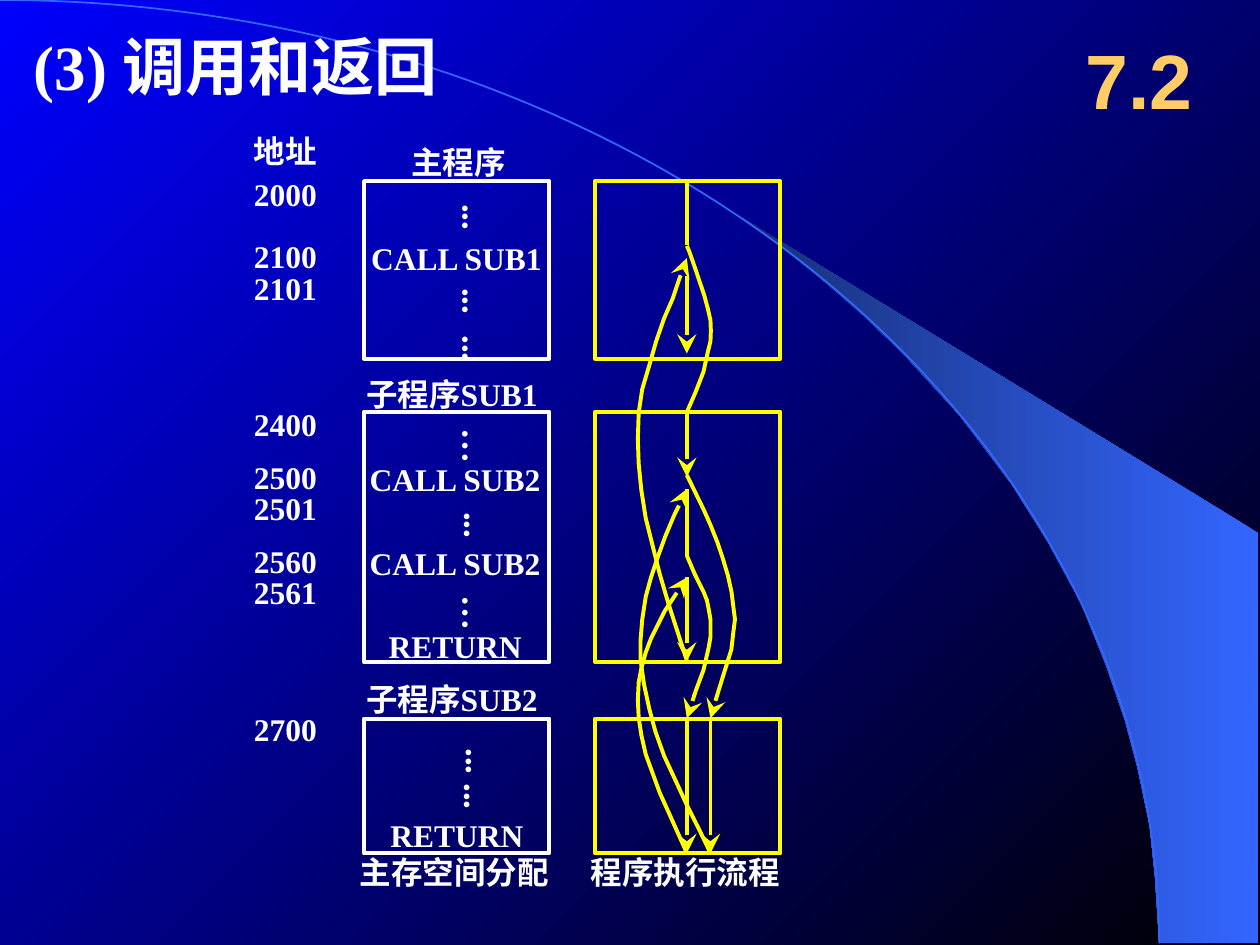
import pptx
import pptx.util
import pptx.dml.color
import pptx.enum.shapes
import pptx.enum.text
import pptx.oxml.ns
import lxml.etree

Pt = pptx.util.Pt
RGB = pptx.dml.color.RGBColor
KIND = pptx.enum.shapes.MSO_SHAPE
ALIGN = pptx.enum.text.PP_ALIGN
ANCHOR = pptx.enum.text.MSO_ANCHOR
FIT = pptx.enum.text.MSO_AUTO_SIZE
qn = pptx.oxml.ns.qn

WHITE = RGB(0xFF, 0xFF, 0xFF)
YELLOW = RGB(0xFF, 0xFF, 0x00)
GOLD = RGB(0xFF, 0xCC, 0x66)
BLACK = RGB(0x00, 0x00, 0x00)
BLUE = RGB(0x00, 0x00, 0xFF)
SKY = RGB(0x33, 0x66, 0xFF)
NAVY = RGB(0x17, 0x2F, 0x75)

deck = pptx.Presentation()
deck.slide_width, deck.slide_height = Pt(720), Pt(540)
slide = deck.slides.add_slide(deck.slide_layouts[5])
shapes = slide.shapes


def write(text, left, top, width, height, box=None, size=18, font="Times New Roman",
          color=WHITE, align=ALIGN.LEFT, anchor=ANCHOR.TOP, fit=FIT.SHAPE_TO_FIT_TEXT,
          wrap=False, upright=False):
    """Put one line of bold text in a new box, or in the box given."""
    box = box or shapes.add_textbox(0, 0, 0, 0)
    box.left, box.top, box.width, box.height = Pt(left), Pt(top), Pt(width), Pt(height)
    frame = box.text_frame
    frame.text = text
    frame.word_wrap, frame.auto_size, frame.vertical_anchor = wrap, fit, anchor
    if upright:
        frame.margin_left = frame.margin_right = Pt(3.6)
        frame.margin_top = frame.margin_bottom = Pt(7.2)
        frame._txBody.bodyPr.set("vert", "eaVert")
    line = frame.paragraphs[0]
    line.alignment = align
    style = line.runs[0].font
    style.size, style.name, style.bold = Pt(size), font, True
    style.color.rgb = color


def stroke(shape, color=YELLOW, width=2.25, arrow=False):
    """Give a shape or connector a plain line, with an arrowhead if asked."""
    shape.line.color.rgb = color
    shape.line.width = Pt(width)
    props = shape._element.spPr
    if hasattr(shape, "shadow"):
        shape.shadow.inherit = False
    else:
        lxml.etree.SubElement(props, qn("a:effectLst"))
    if hasattr(shape, "fill"):
        shape.fill.background()
    if arrow:
        lxml.etree.SubElement(props.find(qn("a:ln")), qn("a:tailEnd"),
                              type="stealth", w="lg", len="lg")


# Background gradient
back = slide.background.fill
back.gradient()
back.gradient_angle = 135
for stop, color in zip(back.gradient_stops, (BLACK, BLUE)):
    stop.color.rgb = color

# Fan and arc behind the content; outlines are drawn in tenths of a point
rim = [(662.4, 538.5), (719, 539), (719, 304.5), (424, 124.5), (449, 143), (470, 160),
       (493, 180), (515.5, 201.5), (548.5, 237.5), (578, 276.5), (599, 310), (618, 345),
       (632, 380), (643, 412), (650, 438.5), (657, 472), (660, 501)]
tenths = [(x * 10, y * 10) for x, y in rim]
pen = shapes.build_freeform(*tenths[0], scale=Pt(1) / 10)
pen.add_line_segments(tenths[1:], close=True)
fan = pen.convert_to_shape()
fan.shadow.inherit = False
fan.line.fill.background()
fan.fill.gradient()
fan.fill.gradient_angle = 180
for stop, color in zip(fan.fill.gradient_stops, (SKY, NAVY)):
    stop.color.rgb = color
arc = shapes.add_shape(KIND.ARC, Pt(-662.4), Pt(0), Pt(1324.8), Pt(1078))
stroke(arc, SKY, 1)

# Title, brought in front of the arc, and section number
shapes._spTree.append(shapes.title._element)
write("(3) 调用和返回", 12, 12, 294, 50.5, box=shapes.title, size=36, wrap=True)
write("7.2", 606, 12, 90, 66, size=44, font="Arial", color=GOLD,
      align=ALIGN.CENTER, anchor=ANCHOR.MIDDLE, fit=FIT.NONE, wrap=True)

# Memory blocks (white) and flow blocks (yellow)
for left, color in ((208, WHITE), (340, YELLOW)):
    for top, height in ((103.5, 101.5), (235.3, 143), (410.7, 77)):
        block = shapes.add_shape(KIND.RECTANGLE, Pt(left), Pt(top), Pt(106), Pt(height))
        stroke(block, color)

# Straight runs of the program: x, start, end, arrow
MID, SIDE = 392.5, 406
for x, start, end, arrow in (
        (MID, 103.5, 140, False), (MID, 157.5, 202, True),
        (MID, 235.5, 272.5, True), (MID, 279.5, 317.5, False),
        (MID, 330, 378, True), (MID, 410.5, 487.5, True),
        (SIDE, 410.5, 487.5, True)):
    run = shapes.add_connector(pptx.enum.shapes.MSO_CONNECTOR.STRAIGHT,
                               Pt(x), Pt(start), Pt(x), Pt(end))
    stroke(run, arrow=arrow)

# Jumps between blocks: arrow, points
jumps = [
    # Call SUB1
    (False, [(MID, 140.5), (394, 144), (398, 155.5), (402.5, 169), (404.5, 176.5),
             (406, 183), (406.2, 189), (406, 195), (404.5, 201), (402, 212.5),
             (397.5, 224), (MID, 235.5)]),
    # First call of SUB2
    (True, [(MID, 271.5), (402, 291), (406, 300), (410, 310), (413, 319), (416, 329),
            (418, 338), (419, 346), (420, 354), (419, 362), (418, 371), (413, 387),
            (409, 400), (SIDE, 410.5)]),
    # Second call of SUB2
    (True, [(MID, 317.5), (397, 328), (402, 338), (404, 343), (405, 348), (406, 354),
            (406, 364), (405, 370), (402, 383), (397.5, 395), (MID, 410.5)]),
    # First return to SUB1
    (True, [(SIDE, 487.5), (399, 473), (392, 459), (386, 446), (379.5, 432),
            (374.5, 418), (371, 405), (368, 391), (366, 377), (366, 366), (367, 354),
            (369, 341), (372, 330), (376, 318), (380, 307), (385, 295), (MID, 279.5)]),
    # Second return to SUB1
    (True, [(MID, 487.5), (382, 464), (377, 453), (373, 442), (369, 431), (366.5, 420),
            (365, 410), (364.5, 400), (365, 390), (366.5, 382), (369, 373), (372, 365),
            (376, 357), (380, 349), (MID, 330)]),
    # Return to the main program
    (True, [(MID, 377.5), (382, 345), (377, 328), (373, 312), (369, 296), (366.5, 280),
            (365, 265), (364.5, 251), (365, 236), (367, 222.5), (371, 209), (375, 195),
            (379.5, 182), (384.5, 170.5), (388, 160), (MID, 147.5)]),
]
for arrow, points in jumps:
    tenths = [(x * 10, y * 10) for x, y in points]
    pen = shapes.build_freeform(*tenths[0], scale=Pt(1) / 10)
    pen.add_line_segments(tenths[1:], close=False)
    stroke(pen.convert_to_shape(), arrow=arrow)

# Addresses
for text, top in (("地址", 72), ("2000", 96.5), ("2100", 132), ("2101", 150),
                  ("2400", 228), ("2500", 258), ("2501", 276), ("2560", 306),
                  ("2561", 324), ("2700", 402)):
    write(text, 138, top, 50.5, 29)

# Block names, instructions and captions
for text, left, top, width in (
        ("主程序", 228, 78, 68.5), ("CALL SUB1", 205, 133, 113),
        ("子程序SUB1", 202.2, 211, 116.5), ("CALL SUB2", 204.2, 259.5, 113),
        ("CALL SUB2", 204.2, 307.5, 113), ("RETURN", 215, 355, 96),
        ("子程序SUB2", 202.2, 385, 116.5), ("RETURN", 216, 463, 96),
        ("主存空间分配", 198.5, 484, 122.5), ("程序执行流程", 330.5, 484, 122.5)):
    write(text, left, top, width, 29)

# Vertical dots for the omitted instructions
for text, left, top, height in (
        ("...", 250, 109.5, 22.5), ("...", 250, 157.5, 22.5), ("...", 250, 184.5, 22.5),
        ("…", 250, 237.5, 27.5), ("...", 251, 285.5, 22.5), ("…", 250, 333, 27.5),
        ("...", 252, 420.5, 22.5), ("...", 251, 440.5, 22.5)):
    write(text, left, top, 38, height, size=20, upright=True)

deck.save("out.pptx")
